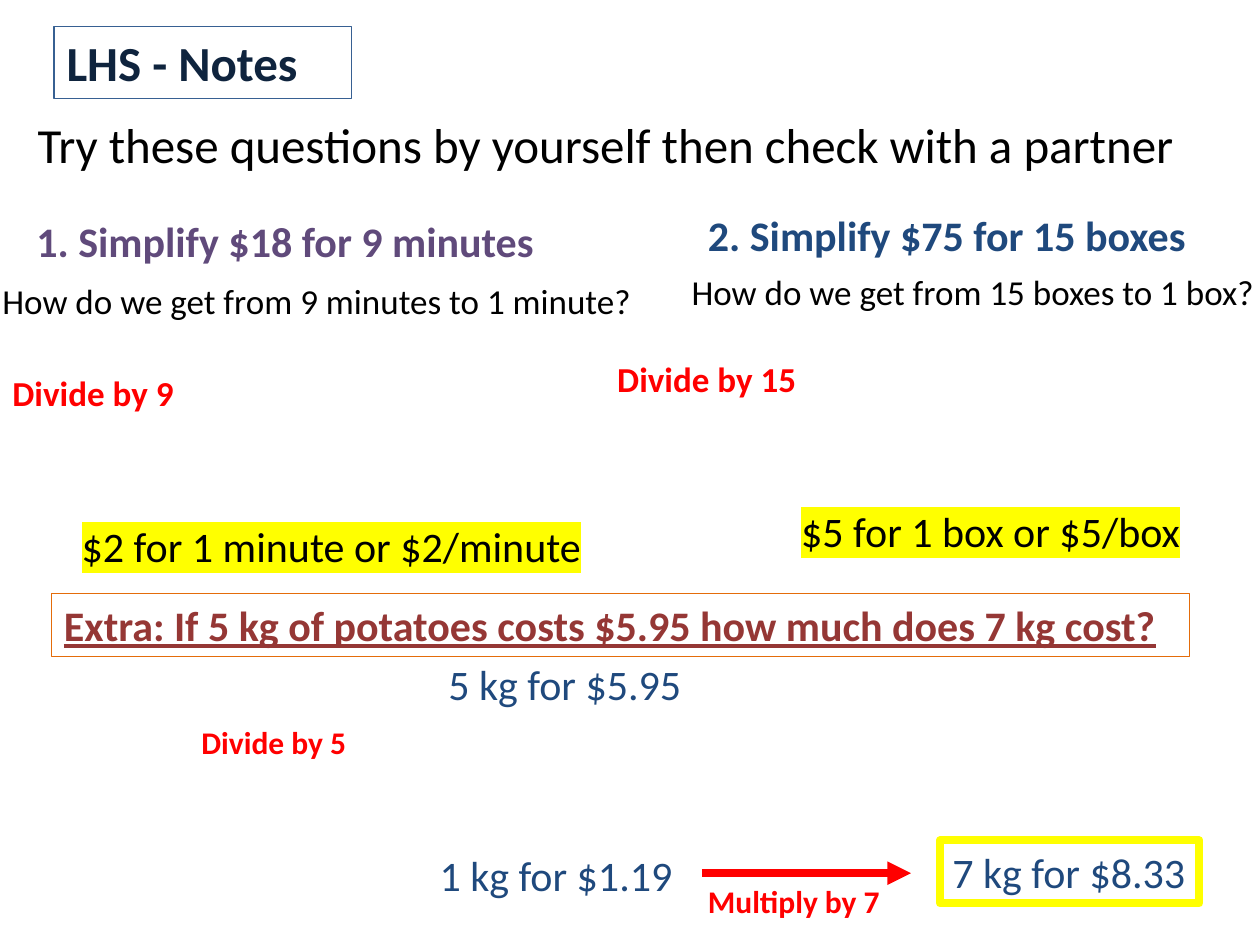
from lxml import etree
from pptx import Presentation
from pptx.dml.color import RGBColor
from pptx.enum.shapes import MSO_CONNECTOR, MSO_SHAPE
from pptx.enum.text import MSO_AUTO_SIZE
from pptx.oxml.ns import qn
from pptx.util import Inches, Pt

RECTANGLE = MSO_SHAPE.RECTANGLE
STRAIGHT = MSO_CONNECTOR.STRAIGHT
FIT_SHAPE = MSO_AUTO_SIZE.SHAPE_TO_FIT_TEXT

BLACK = RGBColor(0x00, 0x00, 0x00)
RED = RGBColor(0xFF, 0x00, 0x00)
YELLOW = RGBColor(0xFF, 0xFF, 0x00)
NAVY = RGBColor(0x0F, 0x24, 0x3E)
BLUE = RGBColor(0x1F, 0x49, 0x7D)
STEEL = RGBColor(0x37, 0x60, 0x92)
PURPLE = RGBColor(0x60, 0x4A, 0x7B)
ORANGE = RGBColor(0xE4, 0x6C, 0x0A)
MAROON = RGBColor(0x95, 0x37, 0x35)

prs = Presentation()
prs.slide_width = Inches(10)
prs.slide_height = Inches(7.5)
slide = prs.slides.add_slide(prs.slide_layouts[6])


def add_text(text, left, top, width, height, size, color, bold=False,
             underline=None, highlight=None, border=None, wrap=True):
    """Place one line of text; border is (color, points)."""
    box = (Inches(left), Inches(top), Inches(width), Inches(height))
    if border:
        holder = slide.shapes.add_textbox(*box)
        holder.line.color.rgb = border[0]
        holder.line.width = Pt(border[1])
    else:
        holder = slide.shapes.add_textbox(*box)
    frame = holder.text_frame
    frame.word_wrap = wrap
    frame.auto_size = FIT_SHAPE
    run = frame.paragraphs[0].add_run()
    run.text = text
    font = run.font
    font.name = "Calibri"
    font.size = Pt(size)
    font.bold = bold
    font.underline = underline
    font.color.rgb = color
    if highlight:
        mark = etree.Element(qn("a:highlight"))
        etree.SubElement(mark, qn("a:srgbClr"), val=str(highlight))
        run._r.rPr.find(qn("a:latin")).addprevious(mark)


# Heading and instruction
add_text("LHS - Notes", 0.43, 0.21, 2.36, 0.57, 28, NAVY, bold=True,
         border=(STEEL, 0.75))
add_text("Try these questions by yourself then check with a partner",
         0.2, 0.86, 9.33, 0.57, 28, BLACK)

# Question 1
add_text("1. Simplify $18 for 9 minutes", 0.19, 1.66, 4.76, 0.5, 24, PURPLE, bold=True)
add_text("How do we get from 9 minutes to 1 minute?", -0.08, 2.17, 5.22, 0.44, 20, BLACK)
add_text("Divide by 9", 0, 2.9, 3.39, 0.44, 20, RED, bold=True)
add_text("$2 for 1 minute or $2/minute", 0.55, 4.08, 5.12, 0.5, 24, BLACK,
         highlight=YELLOW)

# Question 2
add_text("2. Simplify $75 for 15 boxes", 5.52, 1.61, 4.49, 0.5, 24, BLUE, bold=True)
add_text("How do we get from 15 boxes to 1 box?", 5.39, 2.1, 5.22, 0.44, 20, BLACK)
add_text("Divide by 15", 4.8, 2.79, 3.39, 0.44, 20, RED, bold=True)
add_text("$5 for 1 box or $5/box", 6.26, 3.96, 5.12, 0.5, 24, BLACK,
         highlight=YELLOW)

# Extra question and its working
add_text("Extra: If 5 kg of potatoes costs $5.95 how much does 7 kg cost?",
         0.41, 4.71, 9.03, 0.5, 24, MAROON, bold=True, underline=True,
         border=(ORANGE, 0.75))
add_text("5 kg for $5.95", 3.46, 5.18, 4.41, 0.5, 24, BLUE)
add_text("Divide by 5", 1.5, 5.69, 3.39, 0.4, 18, RED, bold=True)
add_text("1 kg for $1.19", 3.39, 6.69, 2.06, 0.5, 24, BLUE, wrap=False)
add_text("Multiply by 7", 5.52, 6.95, 1.76, 0.4, 18, RED, bold=True)
add_text("7 kg for $8.33", 7.46, 6.67, 2.06, 0.5, 24, BLUE,
         border=(YELLOW, 4.5), wrap=False)

# Arrow from the unit price to the answer
multiply_arrow = slide.shapes.add_connector(
    STRAIGHT, Inches(5.57), Inches(6.93), Inches(7.23), Inches(6.93))
multiply_arrow.line.color.rgb = RED
multiply_arrow.line.width = Pt(4.5)
etree.SubElement(multiply_arrow.line._get_or_add_ln(), qn("a:tailEnd"), type="triangle")
etree.SubElement(multiply_arrow._element.spPr, qn("a:effectLst"))

prs.save("out.pptx")
